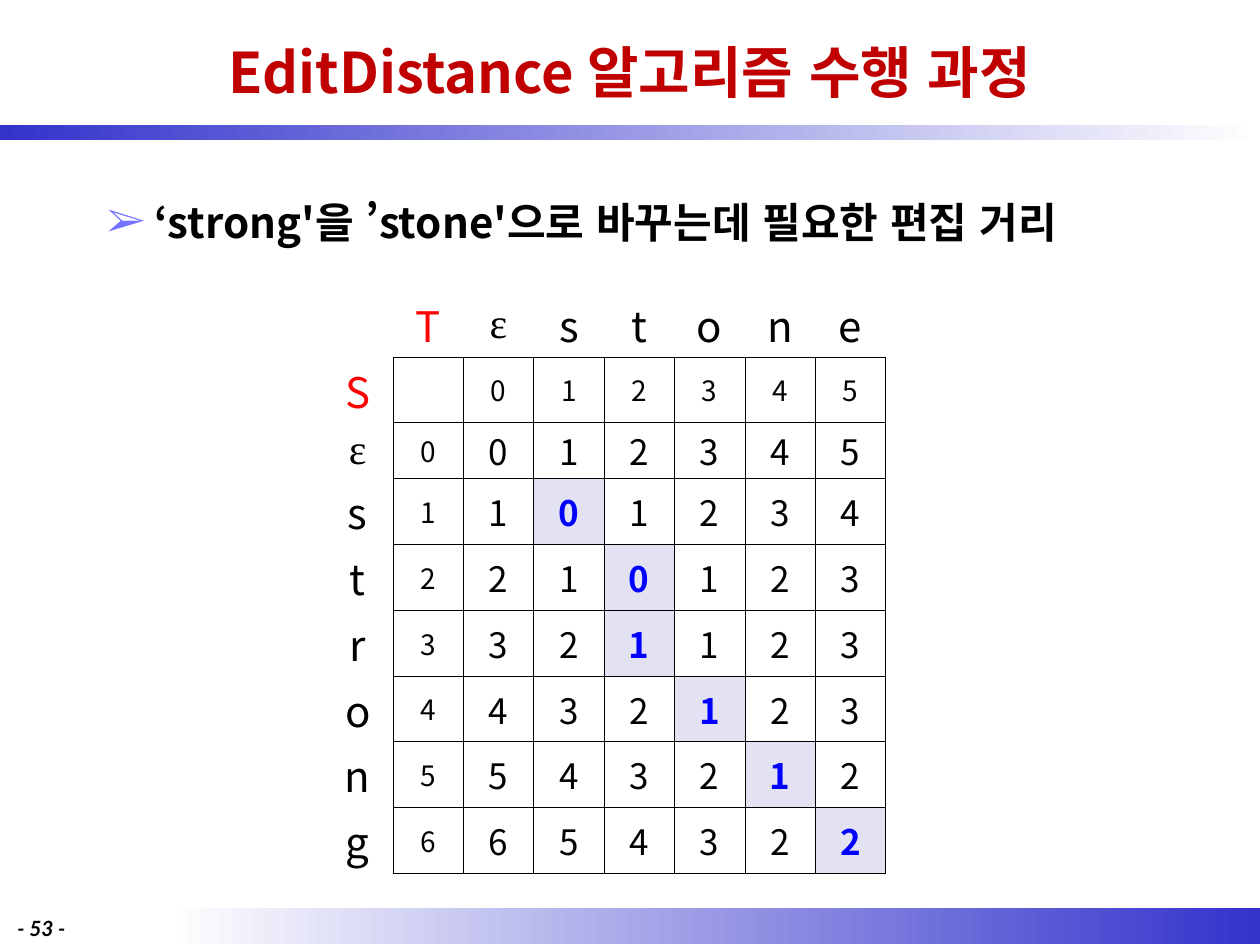
import dataclasses

import lxml.etree
import pptx
import pptx.dml.color
import pptx.enum.lang
import pptx.enum.shapes
import pptx.enum.text
import pptx.oxml.ns
import pptx.util

Inches = pptx.util.Inches
RGB = pptx.dml.color.RGBColor.from_string
qn = pptx.oxml.ns.qn
CENTER = pptx.enum.text.PP_ALIGN.CENTER
MIDDLE = pptx.enum.text.MSO_ANCHOR.MIDDLE


@dataclasses.dataclass(frozen=True)
class Theme:
    korean: str = "Noto Sans CJK KR"
    greek: str = "Times New Roman"
    footer: str = "Lato"
    black: str = "000000"
    white: str = "FFFFFF"
    title_red: str = "C00000"
    label_red: str = "FF0000"
    bar_blue: str = "3333CC"
    bullet_blue: str = "7373FF"
    step_blue: str = "0000FF"
    step_fill: str = "E3E2F2"
    title_size: int = 32
    body_size: int = 24
    value_size: int = 20
    index_size: int = 16
    footer_size: int = 12
    border_width: float = 0.28


theme = Theme()


def add_span(para, text, size, font, color=theme.black, bold=False, italic=False):
    span = para.add_run()
    span.text = text
    span.font.size = pptx.util.Pt(size)
    span.font.name = font
    span.font.bold = bold
    span.font.italic = italic
    span.font.language_id = pptx.enum.lang.MSO_LANGUAGE_ID.KOREAN
    span.font.color.rgb = RGB(color)
    for tag in ("a:ea", "a:cs"):
        lxml.etree.SubElement(span.font._element, qn(tag), typeface=font)


def add_border(cell, side, visible):
    line = lxml.etree.SubElement(
        cell._tc.get_or_add_tcPr(), qn(f"a:ln{side}"),
        w=str(pptx.util.Pt(theme.border_width)))
    if visible:
        fill = lxml.etree.SubElement(line, qn("a:solidFill"))
        lxml.etree.SubElement(fill, qn("a:srgbClr"), val=theme.black)
    else:
        lxml.etree.SubElement(line, qn("a:noFill"))


deck = pptx.Presentation()
deck.slide_width = Inches(10)
deck.slide_height = Inches(7.5)
page = deck.slides.add_slide(deck.slide_layouts[6])

# Gradient bars
bars = [
    ((1.33, 7.21, 8.67, 0.28), (theme.white, theme.bar_blue)),
    ((0, 0.99, 10, 0.12), (theme.bar_blue, theme.white)),
]
for place, colors in bars:
    bar = page.shapes.add_shape(
        pptx.enum.shapes.MSO_SHAPE.RECTANGLE, *map(Inches, place))
    bar.shadow.inherit = False
    bar.line.fill.background()
    bar.fill.gradient()
    bar.fill.gradient_angle = 0
    for stop, color in zip(bar.fill.gradient_stops, colors):
        stop.color.rgb = RGB(color)

# Title
title = page.shapes.add_textbox(Inches(0.75), Inches(0.05), Inches(8.5), Inches(1.03))
title.text_frame.word_wrap = True
title.text_frame.vertical_anchor = MIDDLE
para = title.text_frame.paragraphs[0]
para.alignment = CENTER
add_span(para, "EditDistance 알고리즘 수행 과정", theme.title_size, theme.korean,
         theme.title_red, bold=True)

# Page number
number = page.shapes.add_textbox(Inches(0.04), Inches(7.22), Inches(0.71), Inches(0.24))
number.text_frame.word_wrap = True
add_span(number.text_frame.paragraphs[0], "- 53 -", theme.footer_size, theme.footer,
         bold=True, italic=True)

# Edit distances between the two words
source, target = "strong", "stone"
distances = [list(range(len(target) + 1))]
for i, old in enumerate(source, 1):
    line = [i]
    for j, new in enumerate(target, 1):
        above = distances[i - 1]
        line.append(min(above[j] + 1, line[j - 1] + 1, above[j - 1] + (old != new)))
    distances.append(line)
steps = {(1, 1), (2, 2), (3, 2), (4, 3), (5, 4), (6, 5)}

# Table: letters, then indices, then distances
rows, columns = len(source) + 3, len(target) + 3
row_letters = " Sε" + source
column_letters = " Tε" + target
table_width = Inches(4.47)
row_height, greek_row_height = pptx.util.Pt(37.6), pptx.util.Pt(32)
table = page.shapes.add_table(
    rows, columns, Inches(2.56), Inches(2.31), table_width,
    row_height * (rows - 1) + greek_row_height).table
table.first_row = False
table.horz_banding = False
for column in table.columns:
    column.width = table_width // columns
for row, letter in zip(table.rows, row_letters):
    row.height = greek_row_height if letter == "ε" else row_height

for r in range(rows):
    for c in range(columns):
        cell = table.cell(r, c)
        cell.vertical_anchor = MIDDLE
        cell.margin_left = cell.margin_right = Inches(0.07)
        cell.margin_top = cell.margin_bottom = Inches(0.02)

        in_grid = r > 0 and c > 0
        borders = {"L": in_grid, "R": in_grid or (c == 0 and r > 0),
                   "T": in_grid, "B": in_grid or (r == 0 and c > 0)}
        for side, visible in borders.items():
            add_border(cell, side, visible)

        step = (r - 2, c - 2) in steps
        if step:
            cell.fill.solid()
            cell.fill.fore_color.rgb = RGB(theme.step_fill)
        else:
            cell.fill.background()

        if r == c and r < 2:
            continue
        font, color = theme.korean, theme.black
        if r == 0 or c == 0:
            text, size = (column_letters[c] if r == 0 else row_letters[r]), theme.body_size
            if text == "ε":
                font = theme.greek
            elif text in "ST":
                color = theme.label_red
        elif r == 1 or c == 1:
            text, size = str(max(r, c) - 2), theme.index_size
        else:
            text, size = str(distances[r - 2][c - 2]), theme.value_size
            if step:
                color = theme.step_blue
        para = cell.text_frame.paragraphs[0]
        para.alignment = CENTER
        add_span(para, text, size, font, color, bold=step)

# Bullet line
body = page.shapes.add_textbox(Inches(0.75), Inches(1.43), Inches(8.43), Inches(0.54))
body.text_frame.word_wrap = True
body.text_frame.auto_size = pptx.enum.text.MSO_AUTO_SIZE.SHAPE_TO_FIT_TEXT
para = body.text_frame.paragraphs[0]
para.line_spacing = 1.2
para.space_after = pptx.util.Pt(6)
properties = para._p.get_or_add_pPr()
properties.set("marL", str(Inches(0.38)))
properties.set("indent", str(Inches(-0.38)))
bullet_color = lxml.etree.SubElement(properties, qn("a:buClr"))
lxml.etree.SubElement(bullet_color, qn("a:srgbClr"), val=theme.bullet_blue)
lxml.etree.SubElement(properties, qn("a:buFont"), typeface=theme.greek)
lxml.etree.SubElement(properties, qn("a:buChar"), char="➢")
add_span(para, "‘strong'을 ’stone'으로 바꾸는데 필요한 편집 거리", theme.body_size,
         theme.korean, bold=True)

deck.save("out.pptx")
